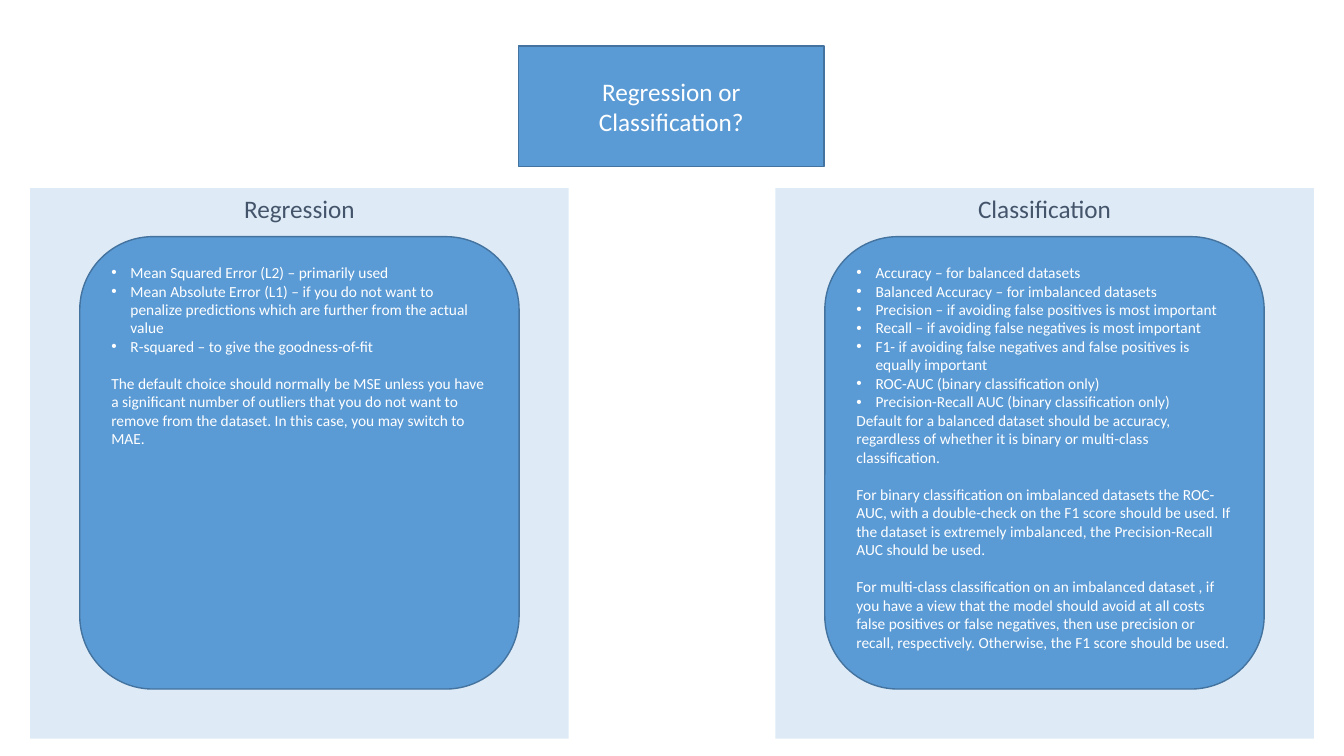
from dataclasses import dataclass

from lxml.etree import SubElement
from pptx import Presentation
from pptx.dml.color import RGBColor
from pptx.enum.text import MSO_ANCHOR, MSO_AUTO_SIZE, PP_ALIGN
from pptx.oxml.ns import qn
from pptx.util import Inches, Pt


@dataclass(frozen=True)
class Theme:
    font: str = "Calibri"
    panel: RGBColor = RGBColor.from_string("DEEBF7")
    card: RGBColor = RGBColor.from_string("5B9BD5")
    outline: RGBColor = RGBColor.from_string("43739E")
    heading: RGBColor = RGBColor.from_string("44546A")
    light: RGBColor = RGBColor.from_string("FFFFFF")
    heading_size: Pt = Pt(18)
    body_size: Pt = Pt(11)
    paragraph_gap: Pt = Pt(13.2)
    bullet_indent: Inches = Inches(0.19)


@dataclass(frozen=True)
class Box:
    left: float
    top: float
    width: float
    height: float

    def inner(self, left, top, width, height):
        return Box(self.left + left * self.width, self.top + top * self.height,
                   width * self.width, height * self.height)


@dataclass(frozen=True)
class Metrics:
    name: str
    bullets: tuple
    advice: tuple
    gap_before_advice: bool


THEME = Theme()
PAGE = Box(0, 0, 13.33, 7.5)
PANEL_MARGIN = 0.3
PANEL_WIDTH = 5.34

REGRESSION = Metrics(
    "Regression",
    ("Mean Squared Error (L2) – primarily used",
     "Mean Absolute Error (L1) – if you do not want to penalize predictions "
     "which are further from the actual value",
     "R-squared – to give the goodness-of-fit"),
    ("The default choice should normally be MSE unless you have a significant "
     "number of outliers that you do not want to remove from the dataset. "
     "In this case, you may switch to MAE.",),
    True)

CLASSIFICATION = Metrics(
    "Classification",
    ("Accuracy – for balanced datasets",
     "Balanced Accuracy – for imbalanced datasets",
     "Precision – if avoiding false positives is most important",
     "Recall – if avoiding false negatives is most important",
     "F1- if avoiding false negatives and false positives is equally important",
     "ROC-AUC (binary classification only)",
     "Precision-Recall AUC (binary classification only)"),
    ("Default for a balanced dataset should be accuracy, regardless of whether "
     "it is binary or multi-class classification.",
     "For binary classification on imbalanced datasets the ROC-AUC, with a "
     "double-check on the F1 score should be used. If the dataset is extremely "
     "imbalanced, the Precision-Recall AUC should be used.",
     "For multi-class classification on an imbalanced dataset , if you have a "
     "view that the model should avoid at all costs false positives or false "
     "negatives, then use precision or recall, respectively. Otherwise, the F1 "
     "score should be used."),
    False)


def place(shape, box, fill, anchor):
    shape.left, shape.top = Inches(box.left), Inches(box.top)
    shape.width, shape.height = Inches(box.width), Inches(box.height)
    shape.fill.solid()
    shape.fill.fore_color.rgb = fill
    frame = shape.text_frame
    frame.word_wrap = True
    frame.auto_size = MSO_AUTO_SIZE.NONE
    frame.vertical_anchor = anchor
    frame.margin_left = frame.margin_right = Inches(0.1)
    frame.margin_top = frame.margin_bottom = Inches(0.05)


def round_corners(shape):
    shape.line.color.rgb = THEME.outline
    shape.line.width = Pt(1)
    properties = shape.element.spPr
    geometry = SubElement(properties, qn("a:prstGeom"), prst="roundRect")
    SubElement(geometry, qn("a:avLst"))
    properties.find(qn("a:xfrm")).addnext(geometry)


def write(para, text, size, color, align, gap=Pt(0)):
    para.text = text
    para.alignment = align
    para.line_spacing = 1.0
    para.space_before, para.space_after = gap, Pt(0)
    para.font.name = THEME.font
    para.font.size = size
    para.font.bold = False
    para.font.color.rgb = color


def set_bullet(para, bulleted):
    properties = para._p.get_or_add_pPr()
    indent = THEME.bullet_indent if bulleted else 0
    properties.set("marL", str(indent))
    properties.set("indent", str(-indent))
    if bulleted:
        SubElement(properties, qn("a:buFont"), typeface="Arial")
        bullet = SubElement(properties, qn("a:buChar"), char="•")
    else:
        bullet = SubElement(properties, qn("a:buNone"))
    bullet.addnext(properties.find(qn("a:defRPr")))


def draw_question(title, box):
    place(title, box, THEME.card, MSO_ANCHOR.MIDDLE)
    round_corners(title)
    write(title.text_frame.paragraphs[0], "Regression or Classification?",
          THEME.heading_size, THEME.light, PP_ALIGN.CENTER)


def draw_panel(heading, body, box, metrics):
    place(heading, box, THEME.panel, MSO_ANCHOR.TOP)
    write(heading.text_frame.paragraphs[0], metrics.name,
          THEME.heading_size, THEME.heading, PP_ALIGN.CENTER)
    place(body, box.inner(0.092, 0.088, 0.816, 0.822), THEME.card, MSO_ANCHOR.TOP)
    round_corners(body)
    frame = body.text_frame
    lines = [(text, True, False) for text in metrics.bullets]
    lines += [(text, False, position > 0 or metrics.gap_before_advice)
              for position, text in enumerate(metrics.advice)]
    for position, (text, bulleted, spaced) in enumerate(lines):
        para = frame.add_paragraph() if position else frame.paragraphs[0]
        write(para, text, THEME.body_size, THEME.light, PP_ALIGN.LEFT,
              THEME.paragraph_gap if spaced else Pt(0))
        set_bullet(para, bulleted)


def build_comparison(deck):
    page = deck.slides.add_slide(deck.slide_layouts.get_by_name("Comparison"))
    holders = {holder.placeholder_format.idx: holder for holder in page.placeholders}
    draw_question(holders[0], PAGE.inner(0.386, 0.061, 0.227, 0.159))
    right_edge = PAGE.width - PANEL_MARGIN - PANEL_WIDTH
    columns = ((PANEL_MARGIN, REGRESSION), (right_edge, CLASSIFICATION))
    for column, (left, metrics) in enumerate(columns):
        box = Box(left, PAGE.height * 0.249, PANEL_WIDTH, PAGE.height * 0.728)
        draw_panel(holders[1 + 2 * column], holders[2 + 2 * column], box, metrics)


deck = Presentation()
deck.slide_width, deck.slide_height = Inches(PAGE.width), Inches(PAGE.height)
build_comparison(deck)
deck.save("out.pptx")
